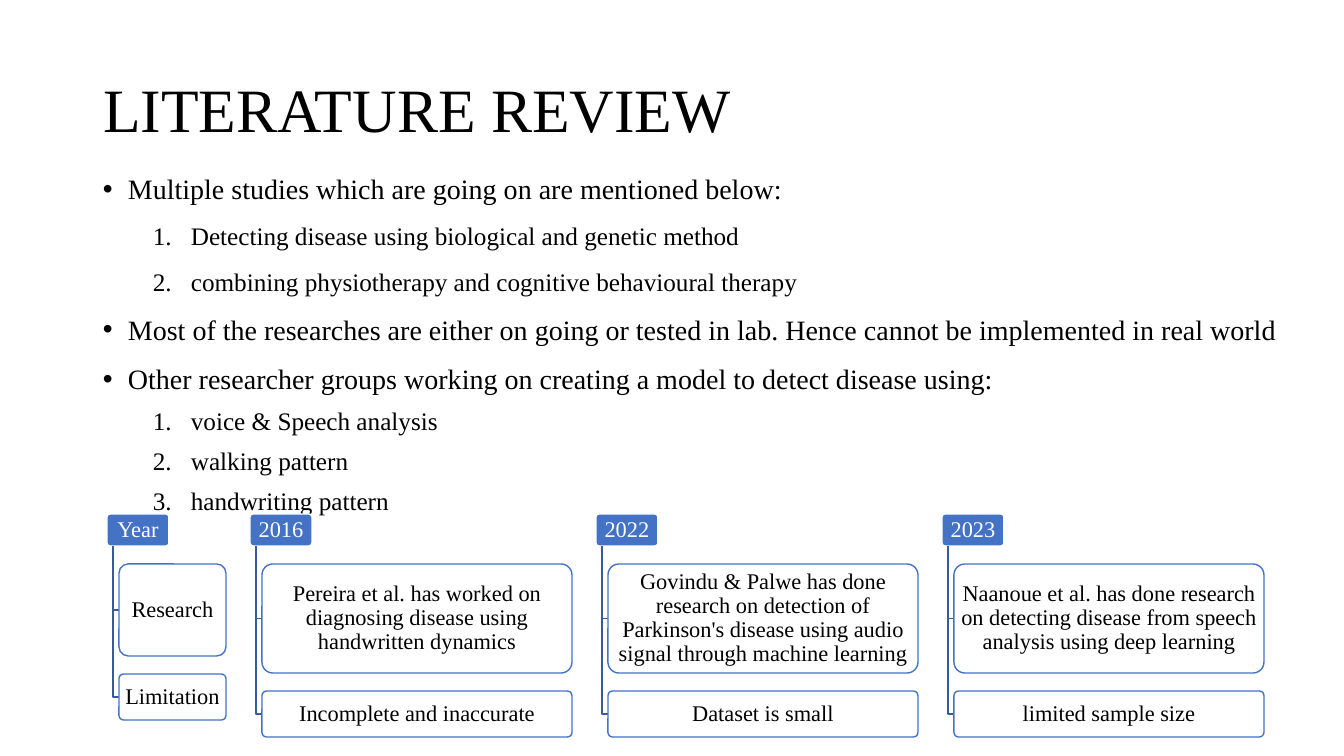
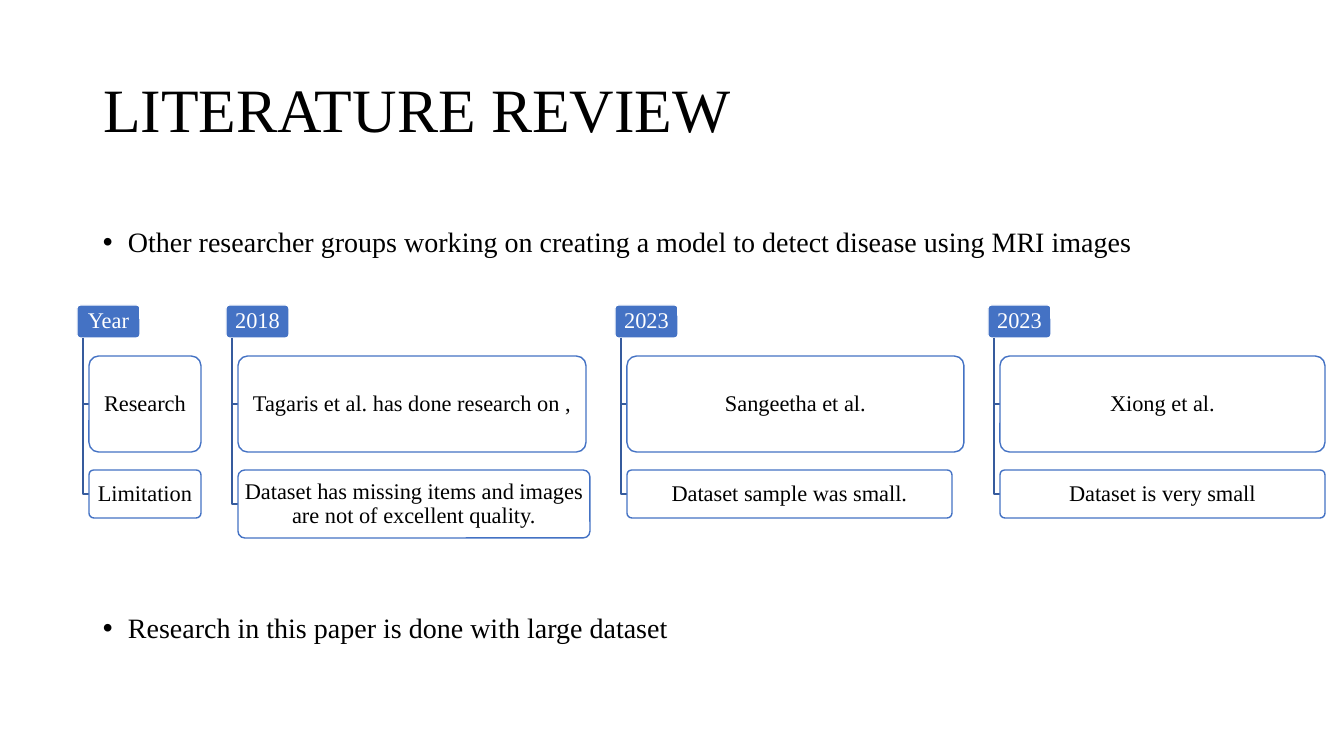
from dataclasses import dataclass

from lxml.etree import SubElement
from pptx import Presentation
from pptx.dml.color import RGBColor
from pptx.enum.shapes import MSO_SHAPE
from pptx.enum.text import MSO_ANCHOR, PP_ALIGN
from pptx.oxml.ns import qn
from pptx.util import Emu, Pt


@dataclass(frozen=True)
class Theme:
    font: str = "Times New Roman"
    ink: RGBColor = RGBColor(0x00, 0x00, 0x00)
    paper: RGBColor = RGBColor(0xFF, 0xFF, 0xFF)
    accent: RGBColor = RGBColor(0x44, 0x72, 0xC4)
    branch: RGBColor = RGBColor(0x36, 0x5B, 0x9D)
    title_size: int = 44
    bullet_size: int = 20
    step_size: int = 18
    card_size: int = 16
    line_width: int = 1


THEME = Theme()
SLIDE_SIZE = (1344, 756)
TITLE_BOX = (93, 40, 1159, 146)
BULLET_INDENT = (25, 25)
STEP_INDENT = (88, 38)
BRANCH_OFFSET = 6
CARD_OFFSET = 12
CARD_GAP = 18


def px(length):
    return Emu(round(length * 914400 / 100.8))


def place(*lengths):
    return [px(length) for length in lengths]


def write(paragraph, text, size, color, spacing):
    paragraph.line_spacing = spacing
    run = paragraph.add_run()
    run.text = text
    run.font.name = THEME.font
    run.font.size = Pt(size)
    run.font.color.rgb = color


def add_titled_slide(deck, heading):
    slide = deck.slides.add_slide(deck.slide_layouts[5])
    title = slide.shapes.title
    title.left, title.top, title.width, title.height = place(*TITLE_BOX)
    frame = title.text_frame
    frame.vertical_anchor = MSO_ANCHOR.MIDDLE
    paragraph = frame.paragraphs[0]
    paragraph.alignment = PP_ALIGN.LEFT
    write(paragraph, heading, THEME.title_size, THEME.ink, 0.9)
    return slide


def mark_item(paragraph, numbered):
    margin, hanging = STEP_INDENT if numbered else BULLET_INDENT
    properties = paragraph._p.get_or_add_pPr()
    properties.set("marL", str(px(margin)))
    properties.set("indent", str(-px(hanging)))
    if numbered:
        paragraph.level = 1
        SubElement(properties, qn("a:buFont"), typeface="+mj-lt")
        SubElement(properties, qn("a:buAutoNum"), type="arabicPeriod")
    else:
        SubElement(properties, qn("a:buFont"), typeface="Arial")
        SubElement(properties, qn("a:buChar"), char="•")


def add_list(slide, box, items):
    frame = slide.shapes.add_textbox(*place(*box)).text_frame
    frame.word_wrap = True
    for index, (text, numbered, space_before) in enumerate(items):
        paragraph = frame.add_paragraph() if index else frame.paragraphs[0]
        paragraph.space_before = Pt(space_before if index else 0)
        size = THEME.step_size if numbered else THEME.bullet_size
        write(paragraph, text, size, THEME.ink, 1.05)
        mark_item(paragraph, numbered)


def add_card(slide, box, text, fill, line, ink):
    card = slide.shapes.add_shape(MSO_SHAPE.ROUNDED_RECTANGLE, *place(*box))
    card.adjustments[0] = 0.1
    card.shadow.inherit = False
    card.fill.solid()
    card.fill.fore_color.rgb = fill
    card.line.color.rgb = line
    card.line.width = Pt(THEME.line_width)
    frame = card.text_frame
    frame.word_wrap = True
    frame.vertical_anchor = MSO_ANCHOR.MIDDLE
    frame.margin_left = frame.margin_right = px(3)
    frame.margin_top = frame.margin_bottom = px(2)
    paragraph = frame.paragraphs[0]
    paragraph.alignment = PP_ALIGN.CENTER
    write(paragraph, text, THEME.card_size, ink, 0.9)


def add_branch(slide, x, top, card_left, card_middle):
    outline = slide.shapes.build_freeform(px(x), px(top))
    corners = [place(x, card_middle), place(card_left, card_middle)]
    outline.add_line_segments(corners, close=False)
    branch = outline.convert_to_shape()
    branch.shadow.inherit = False
    branch.fill.background()
    branch.line.color.rgb = THEME.branch
    branch.line.width = Pt(THEME.line_width)


def add_year_column(slide, box, year, cards):
    left, top, tag_width, tag_height = box
    add_card(slide, box, year, THEME.accent, THEME.paper, THEME.paper)
    tag_bottom = top + tag_height
    card_left = left + CARD_OFFSET
    card_top = tag_bottom + CARD_GAP
    for text, width, height in cards:
        add_branch(slide, left + BRANCH_OFFSET, tag_bottom,
                   card_left, card_top + height / 2)
        add_card(slide, (card_left, card_top, width, height), text,
                 THEME.paper, THEME.accent, THEME.ink)
        card_top += height + CARD_GAP


def add_timeline(slide, box, columns):
    left, top, tag_width, tag_height = box
    for offset, year, cards in columns:
        add_year_column(slide, (left + offset, top, tag_width, tag_height),
                        year, cards)


def build_methods_slide(deck):
    slide = add_titled_slide(deck, "LITERATURE REVIEW")
    add_list(slide, (93, 165, 1211, 345), [
        ("Multiple studies which are going on are mentioned below:", False, 10),
        ("Detecting disease using biological and genetic method", True, 10),
        ("combining physiotherapy and cognitive behavioural therapy", True, 10),
        ("Most of the researches are either on going or tested in lab. "
         "Hence cannot be implemented in real world", False, 10),
        ("Other researcher groups working on creating a model to detect "
         "disease using:", False, 10),
        ("voice & Speech analysis", True, 6),
        ("walking pattern", True, 6),
        ("handwriting pattern", True, 6),
    ])
    studies = [
        ("2016", "Pereira et al. has worked on diagnosing disease using "
         "handwritten dynamics", "Incomplete and inaccurate"),
        ("2022", "Govindu & Palwe has done research on detection of "
         "Parkinson's disease using audio signal through machine learning",
         "Dataset is small"),
        ("2023", "Naanoue et al. has done research on detecting disease from "
         "speech analysis using deep learning", "limited sample size"),
    ]
    first_study, study_step = 143, 346
    columns = [(0, "Year", [("Research", 107, 92), ("Limitation", 107, 46)])]
    for index, (year, research, limitation) in enumerate(studies):
        columns.append((first_study + index * study_step, year,
                        [(research, 310, 109), (limitation, 310, 46)]))
    add_timeline(slide, (107, 514, 62, 32), columns)


def build_imaging_slide(deck):
    slide = add_titled_slide(deck, "LITERATURE REVIEW")
    add_list(slide, (93, 218, 1159, 50), [
        ("Other researcher groups working on creating a model to detect "
         "disease using MRI images", False, 10),
    ])
    add_timeline(slide, (77, 305, 63, 33), [
        (0, "Year", [("Research", 112, 96), ("Limitation", 112, 48)]),
        (149, "2018", [
            ("Tagaris et al. has done research on ,", 348, 96),
            ("Dataset has missing items and images are not of excellent "
             "quality.", 352, 68),
        ]),
        (538, "2023", [("Sangeetha et al.", 337, 96),
                       ("Dataset sample was small.", 325, 48)]),
        (911, "2023", [("Xiong et al.", 325, 96),
                       ("Dataset is very small", 325, 48)]),
    ])
    add_list(slide, (93, 604, 1159, 50), [
        ("Research in this paper is done with large dataset", False, 10),
    ])


def main():
    deck = Presentation()
    deck.slide_width, deck.slide_height = place(*SLIDE_SIZE)
    build_methods_slide(deck)
    build_imaging_slide(deck)
    deck.save("out.pptx")


if __name__ == "__main__":
    main()
